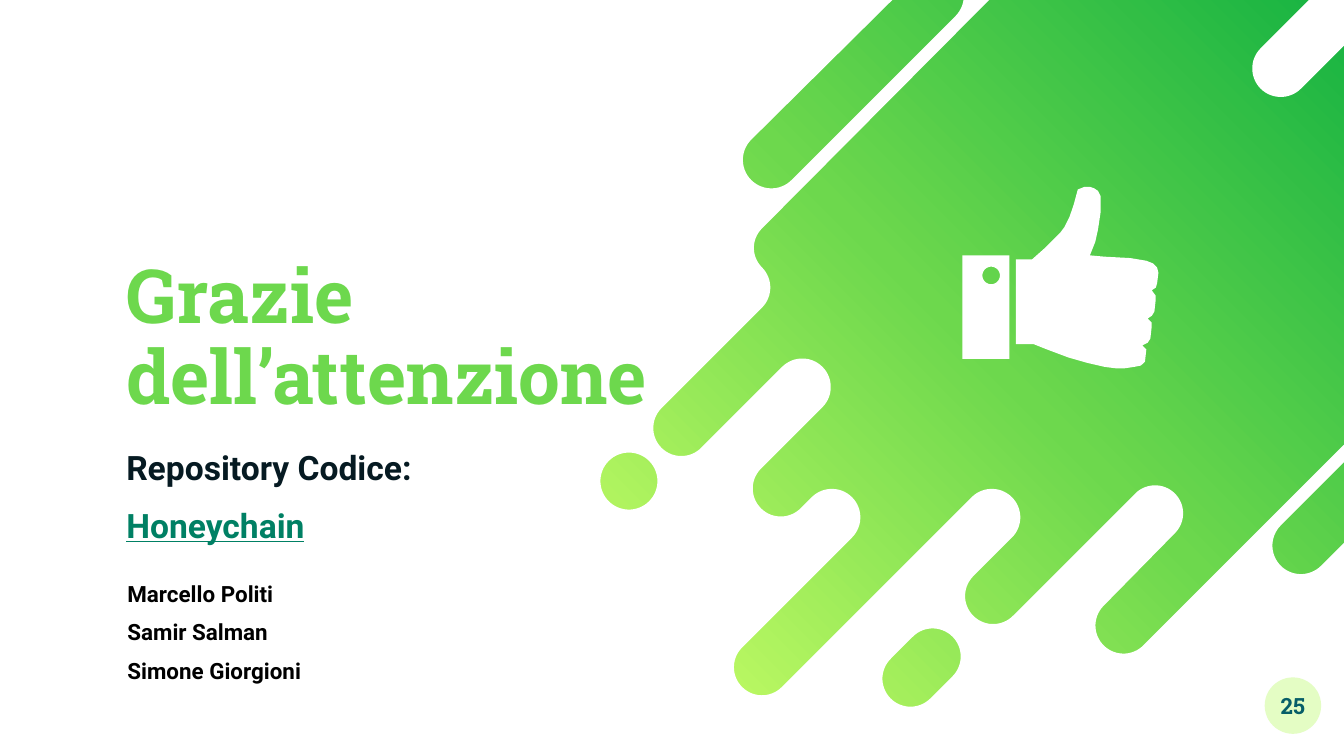
import copy
import math
from typing import NamedTuple

import pptx
import pptx.dml.color
import pptx.enum.shapes
import pptx.enum.text
import pptx.util

Inches = pptx.util.Inches
ANCHOR = pptx.enum.text.MSO_ANCHOR
ALIGN = pptx.enum.text.PP_ALIGN

WIDTH = 10
HEIGHT = WIDTH * 9 / 16
WHITE, LIME, GREEN = "FFFFFF", "E4FDC4", "6DD84D"
BODY_FONT, HEADING_FONT = "Roboto", "Roboto Slab"


class Step(NamedTuple):
    """Next outline point; turn is the arc in degrees, clockwise positive."""
    x: float
    y: float
    turn: float = 0


class Line(NamedTuple):
    text: str
    size: int
    color: str
    font: str = BODY_FONT
    spacing: float = 1.0
    before: int = 0
    underline: bool = False


def rgb(color: str) -> pptx.dml.color.RGBColor:
    return pptx.dml.color.RGBColor.from_string(color)


def arc_points(x: float, y: float, step: Step) -> list[tuple[float, float]]:
    """Points from (x, y) along a straight or circular step."""
    if not step.turn:
        return [(step.x, step.y)]
    angle = math.radians(step.turn)
    dx, dy = step.x - x, step.y - y
    offset = 0.5 / math.tan(angle / 2)
    cx, cy = x + dx / 2 - dy * offset, y + dy / 2 + dx * offset
    radius, start = math.hypot(x - cx, y - cy), math.atan2(y - cy, x - cx)
    count = max(4, round(abs(step.turn) / 6))
    return [(cx + radius * math.cos(start + angle * i / count),
             cy + radius * math.sin(start + angle * i / count))
            for i in range(1, count + 1)]


def paint(shape, color: str) -> None:
    shape.fill.solid()
    shape.fill.fore_color.rgb = rgb(color)
    shape.line.fill.background()
    shape.shadow.inherit = False


def draw_outline(slide, contours: list[list[Step]], color: str) -> None:
    """Contours lying inside another one become holes."""
    first = contours[0][0]
    builder = slide.shapes.build_freeform(Inches(first.x), Inches(first.y))
    for contour in contours:
        x, y = contour[0].x, contour[0].y
        if contour is not contours[0]:
            builder.move_to(Inches(x), Inches(y))
        points = []
        for step in contour[1:]:
            points += arc_points(x, y, step)
            x, y = step.x, step.y
        builder.add_line_segments([(Inches(px), Inches(py)) for px, py in points])
    paint(builder.convert_to_shape(), color)


def write_lines(frame, lines: list[Line], inset: tuple[float, float] = (0, 0),
                anchor=ANCHOR.TOP, align=ALIGN.LEFT) -> None:
    frame.word_wrap = True
    frame.vertical_anchor = anchor
    frame.margin_left = frame.margin_right = Inches(inset[0])
    frame.margin_top = frame.margin_bottom = Inches(inset[1])
    for index, line in enumerate(lines):
        paragraph = frame.add_paragraph() if index else frame.paragraphs[0]
        paragraph.text = line.text
        paragraph.alignment = align
        paragraph.line_spacing = line.spacing
        paragraph.space_before = pptx.util.Pt(line.before)
        font = paragraph.font
        font.name, font.size, font.bold = line.font, pptx.util.Pt(line.size), True
        font.color.rgb = rgb(line.color)
        if line.underline:
            font.underline = True


def add_text(slide, left: float, top: float, width: float, height: float,
             lines: list[Line], **layout) -> None:
    box = slide.shapes.add_textbox(Inches(left), Inches(top), Inches(width), Inches(height))
    write_lines(box.text_frame, lines, **layout)


def fill_background(slide, stops: list[tuple[float, str]], angle: float) -> None:
    fill = slide.background.fill
    fill.gradient()
    fill.gradient_angle = angle
    stop_list = fill._fill._gradFill.gsLst
    while len(stop_list) < len(stops):
        stop_list.append(copy.deepcopy(stop_list[0]))
    for stop, (position, color) in zip(fill.gradient_stops, stops):
        stop.position = position
        stop.color.rgb = rgb(color)


# White cover whose gaps reveal the gradient as diagonal drips
COVER = [
    [Step(9.74, 0), Step(9.38, 0.36), Step(9.68, 0.66, -180), Step(WIDTH, 0.34),
     Step(WIDTH, 0), Step(9.74, 0)],
    [Step(8.21, 4.51), Step(8.74, 3.97), Step(8.45, 3.67, -180),
     Step(7.54, 4.58), Step(7.24, 4.29, 180), Step(7.53, 4), Step(7.23, 3.7, -180),
     Step(5.82, 5.11), Step(5.52, 4.82, 180), Step(6.34, 4), Step(6.04, 3.7, -180),
     Step(5.96, 3.78), Step(5.66, 3.49, 180), Step(6.12, 3.03), Step(5.82, 2.73, -180),
     Step(5.22, 3.33), Step(4.92, 3.04, 180), Step(5.67, 2.29), Step(5.67, 1.99, -90),
     Step(5.67, 1.7, 90), Step(7.36, 0), Step(7.17, 0), Step(7.11, 0.12, 35),
     Step(5.89, 1.34), Step(5.59, 1.04, 180), Step(6.64, 0), Step(0, 0), Step(0, HEIGHT),
     Step(WIDTH, HEIGHT), Step(WIDTH, 4.04), Step(9.83, 4.21), Step(9.53, 3.91, 180),
     Step(WIDTH, 3.44), Step(WIDTH, 3.31), Step(8.51, 4.8), Step(8.21, 4.51, 180)],
    [Step(4.83, 3.73), Step(4.53, 3.43, 180), Step(4.83, 3.73, 180)],
    [Step(7.09, 5.03), Step(6.92, 5.2), Step(6.63, 4.9, 180), Step(6.79, 4.74),
     Step(7.09, 5.03, 180)],
]

# Thumbs-up icon: cuff with a button hole, then the hand
CUFF = [
    [Step(7.16, 1.9), Step(7.16, 2.67), Step(7.51, 2.67), Step(7.51, 1.9), Step(7.16, 1.9)],
    [Step(7.31, 2.05), Step(7.44, 2.05, 180), Step(7.31, 2.05, 180)],
]
HAND = [[Step(*point) for point in [
    (8.11, 1.39), (8.07, 1.39), (8.02, 1.41), (7.99, 1.52), (7.96, 1.61), (7.92, 1.69),
    (7.89, 1.73), (7.84, 1.78), (7.77, 1.85), (7.68, 1.93), (7.56, 1.93), (7.56, 2.56),
    (7.69, 2.56), (7.79, 2.6), (7.95, 2.66), (8.09, 2.7), (8.22, 2.73), (8.3, 2.74),
    (8.37, 2.74), (8.44, 2.73), (8.49, 2.72), (8.52, 2.69), (8.53, 2.6), (8.5, 2.57),
    (8.54, 2.55), (8.56, 2.52), (8.57, 2.43), (8.57, 2.4), (8.54, 2.37),
    (8.57, 2.35), (8.59, 2.32), (8.6, 2.23), (8.6, 2.2), (8.57, 2.16),
    (8.6, 2.14), (8.61, 2.11), (8.62, 2.03), (8.61, 1.99), (8.58, 1.96),
    (8.53, 1.94), (8.41, 1.92), (8.22, 1.91), (8.11, 1.9), (8.13, 1.85), (8.15, 1.8),
    (8.17, 1.71), (8.19, 1.58), (8.19, 1.46), (8.17, 1.42), (8.14, 1.4), (8.11, 1.39)]]]

AUTHORS = ["Marcello Politi", "Samir Salman", "Simone Giorgioni"]


def main() -> None:
    deck = pptx.Presentation()
    deck.slide_width, deck.slide_height = Inches(WIDTH), Inches(HEIGHT)
    slide = deck.slides.add_slide(deck.slide_layouts[6])

    # Backdrop
    fill_background(slide, [(0, LIME), (0.31, "CCFF67"), (0.66, GREEN), (1, "17B342")], 45)
    draw_outline(slide, COVER, WHITE)

    # Page number
    badge = slide.shapes.add_shape(pptx.enum.shapes.MSO_SHAPE.OVAL, Inches(9.41),
                                   Inches(5.04), Inches(0.42), Inches(0.42))
    paint(badge, LIME)
    write_lines(badge.text_frame, [Line("25", 12, "075E68", HEADING_FONT)],
                anchor=ANCHOR.MIDDLE, align=ALIGN.CENTER)

    # Closing message, repository and authors
    add_text(slide, 0.94, 2.13, 4.06, 1,
             [Line("Grazie dell’attenzione", 40, GREEN, HEADING_FONT, 0.9)],
             anchor=ANCHOR.BOTTOM)
    add_text(slide, 0.94, 3.28, 3.43, 1.99,
             [Line("Repository Codice:", 18, "061A22", spacing=1.15),
              Line("Honeychain", 18, "008064", spacing=1.15, before=6, underline=True)])
    add_text(slide, 0.85, 4.27, 5, 0.91,
             [Line(author, 12, "000000", before=6 if index else 0)
              for index, author in enumerate(AUTHORS)], inset=(0.1, 0.05))

    # Icon
    for part in (CUFF, HAND):
        draw_outline(slide, part, WHITE)

    deck.save("out.pptx")


if __name__ == "__main__":
    main()
